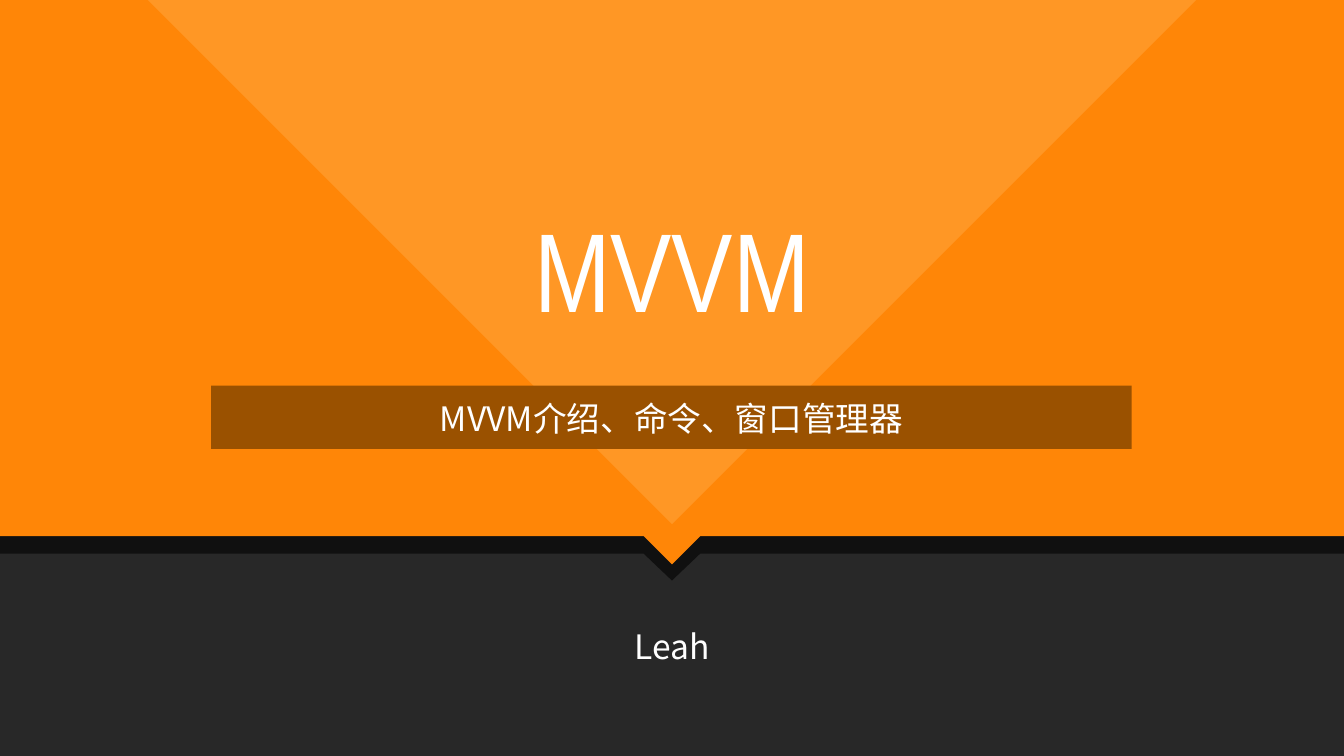
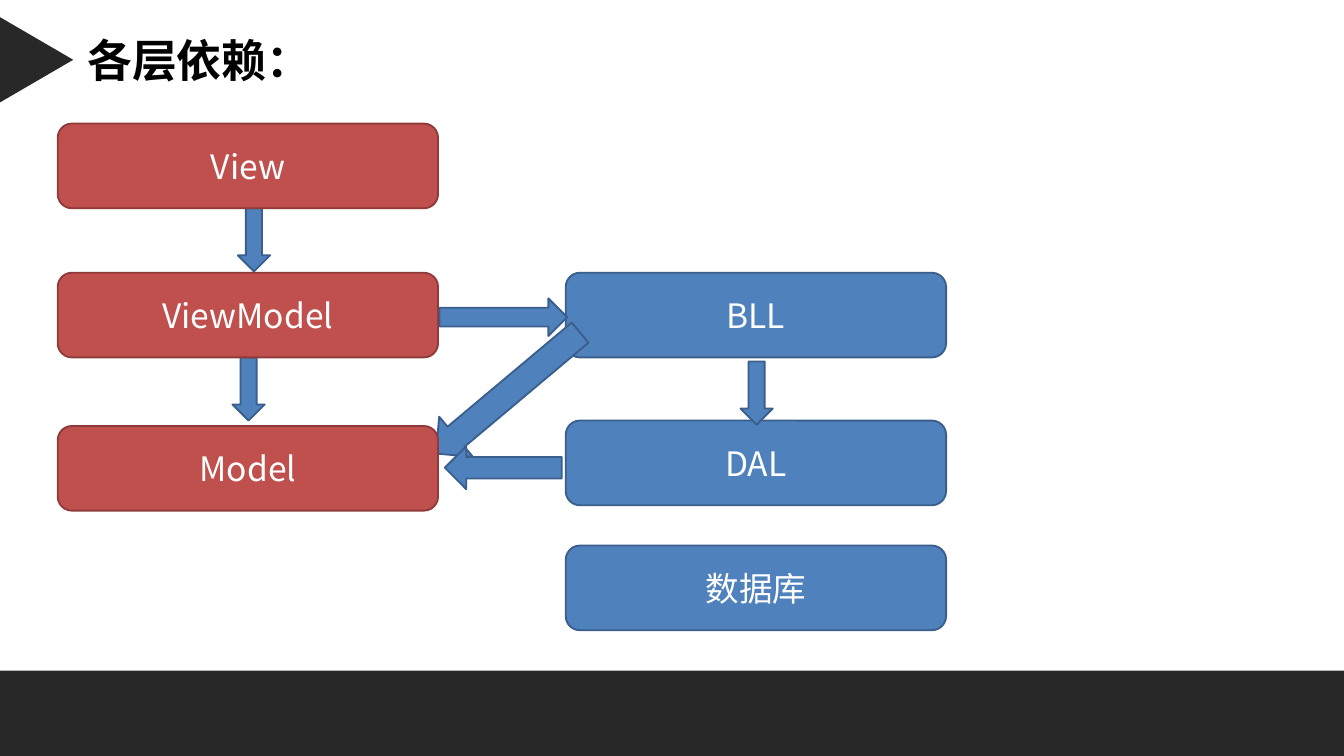
from lxml.etree import SubElement
from pptx import Presentation
from pptx.dml.color import RGBColor
from pptx.enum.shapes import MSO_SHAPE
from pptx.enum.text import MSO_ANCHOR, MSO_AUTO_SIZE, PP_ALIGN
from pptx.oxml.ns import qn
from pptx.util import Inches, Pt

WIDTH = 10
HEIGHT = WIDTH * 9 / 16
DARK, WHITE, BLACK = "282828", "FFFFFF", "000000"
ORANGE, LIGHT_ORANGE, BROWN = "FF8607", "FF9725", "9A5100"
BLUE, BLUE_EDGE = "4F81BD", "3A5F8C"
RED, RED_EDGE = "C0504D", "8E3B39"
SANS, NARROW = "Noto Sans CJK SC", "Arial Narrow"


def paint(shape, fill, edge=None):
    shape.shadow.inherit = False
    shape.fill.solid()
    shape.fill.fore_color.rgb = RGBColor.from_string(fill)
    if edge:
        shape.line.color.rgb = RGBColor.from_string(edge)
        shape.line.width = Pt(1)
    else:
        shape.line.fill.background()


def write(shape, text, size=18, font=SANS, color=WHITE, bold=False,
          align=PP_ALIGN.CENTER, anchor=MSO_ANCHOR.TOP, wrap=True):
    frame = shape.text_frame
    frame.word_wrap = wrap
    frame.vertical_anchor = anchor
    if anchor == MSO_ANCHOR.TOP:
        frame.auto_size = MSO_AUTO_SIZE.SHAPE_TO_FIT_TEXT
    para = frame.paragraphs[0]
    para.text = text
    para.alignment = align
    para.font.size = Pt(size)
    para.font.bold = bold
    para.font.color.rgb = RGBColor.from_string(color)
    para.font.name = font
    # East Asian characters take their typeface from a separate element
    latin = next(shape.element.iter(qn("a:latin")))
    east_asian = SubElement(latin.getparent(), qn("a:ea"))
    east_asian.set("typeface", font)
    latin.addnext(east_asian)


deck = Presentation()
deck.slide_width, deck.slide_height = Inches(WIDTH), Inches(HEIGHT)
title_only = deck.slide_layouts[5]

# Cover: dark ground, notched band with its shade, large triangle
page = deck.slides.add_slide(title_only)
ground = page.shapes.add_shape(MSO_SHAPE.RECTANGLE, 0, 0, Inches(WIDTH), Inches(HEIGHT))
paint(ground, DARK)

# Outlines are in hundredths of an inch
band = [(0, 0), (1000, 0), (1000, 399), (521, 399), (500, 420), (479, 399), (0, 399)]
shade = [(x, y + 12.5) for x, y in band]
triangle = [(110, 0), (890, 0), (500, 390)]
for points, color in ((shade, BLACK), (band, ORANGE), (triangle, LIGHT_ORANGE)):
    builder = page.shapes.build_freeform(*points[0], scale=Inches(0.01))
    builder.add_line_segments(points[1:])
    outline = builder.convert_to_shape()
    paint(outline, color)
    if points is shade:
        tint = next(outline.element.iter(qn("a:srgbClr")))
        SubElement(tint, qn("a:alpha")).set("val", "60000")

# Cover: title in front of the band, subtitle strip, author
title = page.shapes.title
title.element.getparent().append(title.element)
title.left, title.top, title.width, title.height = map(Inches, (0, 1.44, 10, 1.11))
write(title, "MVVM", size=60, font=NARROW)

strip = page.shapes.add_shape(
    MSO_SHAPE.RECTANGLE, *map(Inches, (1.57, 2.87, 6.85, 0.47)))
paint(strip, BROWN)
for text, left, top, width in (("MVVM介绍、命令、窗口管理器", 1.57, 2.91, 6.85),
                               ("Leah", 0, 4.61, 10)):
    box = page.shapes.add_textbox(*map(Inches, (left, top, width, 0.4)))
    write(box, text)

# Layers: footer, title and its marker
page = deck.slides.add_slide(title_only)
footer = page.shapes.add_shape(
    MSO_SHAPE.RECTANGLE, *map(Inches, (0, 4.99, WIDTH, HEIGHT - 4.99)))
paint(footer, DARK)
title = page.shapes.title
title.left, title.top, title.width, title.height = map(Inches, (0.55, 0.19, 1.87, 0.5))
write(title, "各层依赖：", size=24, color=BLACK, bold=True, align=PP_ALIGN.LEFT, wrap=False)
marker = page.shapes.add_shape(
    MSO_SHAPE.ISOSCELES_TRIANGLE, *map(Inches, (-0.05, 0.17, 0.64, 0.55)))
marker.rotation = 90
paint(marker, DARK)

# Layers: arrows run over the blue boxes and under the red ones
blue_layers = [("BLL", 2.03), ("DAL", 3.13), ("数据库", 4.06)]
red_layers = [("View", 0.92), ("ViewModel", 2.03), ("Model", 3.17)]
arrows = [
    (MSO_SHAPE.DOWN_ARROW, 1.77, 1.55, 0.24, 0.47, 0),
    (MSO_SHAPE.DOWN_ARROW, 1.73, 2.66, 0.24, 0.47, 0),
    (MSO_SHAPE.RIGHT_ARROW, 3.27, 2.22, 0.95, 0.28, 0),
    (MSO_SHAPE.DOWN_ARROW, 5.51, 2.69, 0.24, 0.47, 0),
    (MSO_SHAPE.LEFT_ARROW, 3.08, 2.73, 1.4, 0.39, 320),
    (MSO_SHAPE.LEFT_ARROW, 3.31, 3.32, 0.87, 0.32, 0),
]
for layers, left, fill, edge in ((blue_layers, 4.21, BLUE, BLUE_EDGE),
                                 (red_layers, 0.43, RED, RED_EDGE)):
    for name, top in layers:
        layer = page.shapes.add_shape(
            MSO_SHAPE.ROUNDED_RECTANGLE, *map(Inches, (left, top, 2.83, 0.63)))
        paint(layer, fill, edge)
        write(layer, name, anchor=MSO_ANCHOR.MIDDLE)
    if layers is blue_layers:
        for kind, *place, angle in arrows:
            arrow = page.shapes.add_shape(kind, *map(Inches, place))
            arrow.rotation = angle
            paint(arrow, BLUE, BLUE_EDGE)

deck.save("out.pptx")
